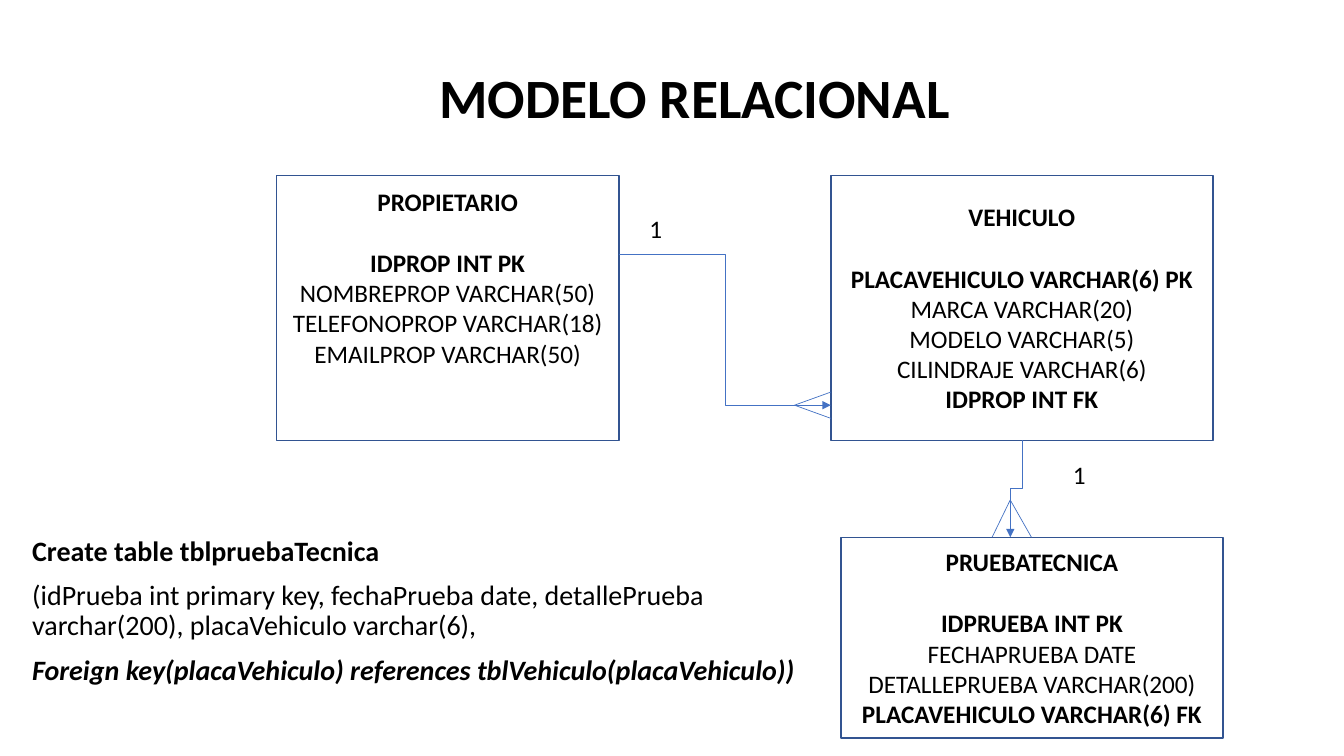
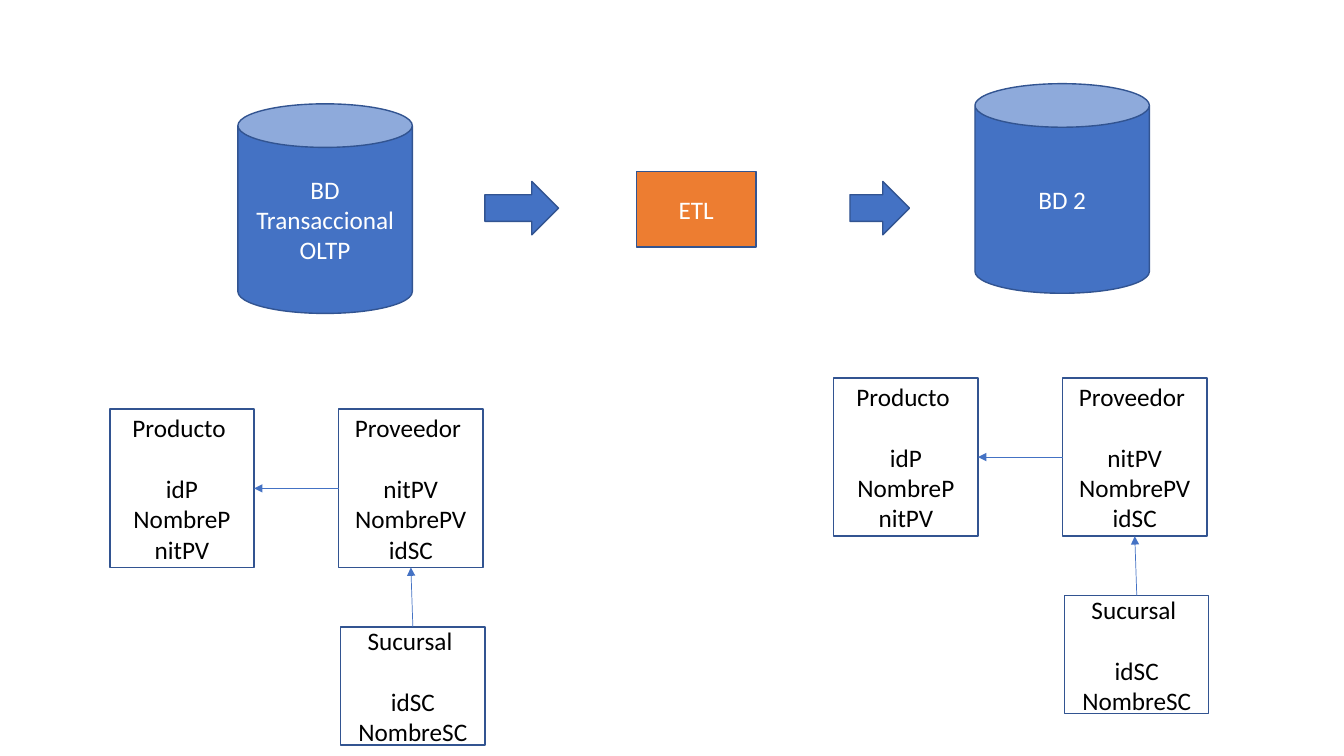
from pptx import Presentation
from pptx.dml.color import RGBColor
from pptx.enum.shapes import MSO_CONNECTOR as Link, MSO_SHAPE as Shape
from pptx.enum.text import MSO_ANCHOR as Anchor, PP_ALIGN as Align
from pptx.oxml.ns import qn
from pptx.oxml.xmlchemy import OxmlElement
from pptx.util import Pt

PX = 9144  # one px is a hundredth of an inch
COLOURS = {
    "white": "FFFFFF",
    "black": "000000",
    "blue": "4472C4",
    "navy": "325491",
    "orange": "ED7D31",
}
BODY = {"name": "Calibri", "size": Pt(18), "bold": False}
CENTRED = {"alignment": Align.CENTER}
HEADING_GAP = {"space_after": Pt(22)}
TOP, LEFT, BOTTOM, RIGHT = range(4)


# Shared helpers
def px(*lengths):
    return [round(length * PX) for length in lengths]


def colour(name):
    return RGBColor.from_string(COLOURS[name])


def set_all(target, values):
    for name, value in values.items():
        setattr(target, name, value)


def write(shape, lines, ink="black"):
    """Each line is (text, font values, paragraph values)."""
    frame = shape.text_frame
    frame.word_wrap = True
    for index, (text, font, layout) in enumerate(lines):
        para = frame.add_paragraph() if index else frame.paragraphs[0]
        set_all(para, layout)
        span = para.add_run()
        span.text = text
        set_all(span.font, BODY | font)
        span.font.color.rgb = colour(ink)


def add_block(page, box, kind=Shape.RECTANGLE, fill="white", line="navy"):
    shape = page.shapes.add_shape(kind, *px(*box))
    shape.shadow.inherit = False
    shape.fill.solid()
    shape.fill.fore_color.rgb = colour(fill)
    if line:
        shape.line.color.rgb = colour(line)
        shape.line.width = Pt(1)
    else:
        shape.line.fill.background()
    shape.text_frame.vertical_anchor = Anchor.MIDDLE
    return shape


def add_label(page, box, text, ink="white", **look):
    shape = add_block(page, box, **look)
    write(shape, [(text, {}, CENTRED)], ink)
    return shape


def add_entity(page, box, heading, rows, heading_bold=False):
    """Table box: a heading, a gap, then the fields with keys in bold."""
    shape = add_block(page, box)
    lines = [(heading, {"bold": heading_bold}, CENTRED | HEADING_GAP)]
    lines += [(row, {"bold": row.endswith((" PK", " FK"))}, CENTRED)
              for row in rows]
    write(shape, lines)
    return shape


def add_line(page, start, end, kind=Link.STRAIGHT, arrow=False):
    line = page.shapes.add_connector(kind, *px(*start, *end))
    line.line.color.rgb = colour("blue")
    line.line.width = Pt(0.5)
    if arrow:
        head = OxmlElement("a:tailEnd")
        head.set("type", "triangle")
        line.line._get_or_add_ln().append(head)
    line._element.spPr.append(OxmlElement("a:effectLst"))
    return line


def join(page, source, source_side, target, target_side):
    line = add_line(page, (0, 0), (1, 1), arrow=True)
    line.begin_connect(source, source_side)
    line.end_connect(target, target_side)


def add_crow_foot(page, apex, toes):
    for toe in toes:
        add_line(page, apex, toe)


# Slide 1: relational model
def add_title(page, box, text):
    title = page.shapes.add_textbox(*px(*box))
    title.text_frame.vertical_anchor = Anchor.MIDDLE
    write(title, [(text, {"size": Pt(39.6), "bold": True},
                   CENTRED | {"line_spacing": 0.9})])


def add_statement(page, box):
    statement = page.shapes.add_textbox(*px(*box))
    statement.text_frame.margin_top = 64 * PX
    rows = [
        ("Create table tblpruebaTecnica", {"bold": True}),
        ("(idPrueba int primary key, fechaPrueba date, detallePrueba "
         "varchar(200), placaVehiculo varchar(6),", {}),
        ("Foreign key(placaVehiculo) references "
         "tblVehiculo(placaVehiculo))", {"bold": True, "italic": True}),
    ]
    write(statement, [
        (text, {"size": Pt(20)} | font,
         {"line_spacing": 0.9, "space_before": Pt(10 if index else 0)})
        for index, (text, font) in enumerate(rows)])


def add_owner_link(page, left, top, width, height):
    """Elbow from the owner to a crow's foot on the vehicle's left side."""
    right, bottom = left + width, top + height
    add_line(page, (left, top), (right, bottom), Link.ELBOW, arrow=True)
    add_crow_foot(page, (right - 36, bottom),
                  [(right, bottom - 13), (right, bottom + 13)])
    add_label(page, (left + 3, top - 51, 67, 51), "1", "black", line=None)


def add_test_link(page, left, top, width, height):
    """Elbow turned downwards, from the vehicle to the technical test."""
    middle_x, middle_y = left + width / 2, top + height / 2
    elbow = add_line(page, (middle_x - height / 2, middle_y - width / 2),
                     (middle_x + height / 2, middle_y + width / 2),
                     Link.ELBOW, arrow=True)
    elbow._element.spPr.find(qn("a:xfrm")).set("rot", str(90 * 60000))
    add_label(page, (left + 35, top + 8, 67, 51), "1", "black", line=None)
    bottom = top + height
    add_crow_foot(page, (left, bottom - 37),
                  [(left + 21, bottom), (left - 18, bottom)])


def build_model(page):
    add_title(page, (341, 66, 696, 67), "MODELO RELACIONAL")
    add_entity(page, (824, 174, 379, 263), "VEHICULO", [
        "PLACAVEHICULO VARCHAR(6) PK", "MARCA VARCHAR(20)",
        "MODELO VARCHAR(5)", "CILINDRAJE VARCHAR(6)", "IDPROP INT FK"], True)
    owner = add_entity(page, (274, 174, 340, 263), "PROPIETARIO", [
        "IDPROP INT PK", "NOMBREPROP VARCHAR(50)",
        "TELEFONOPROP VARCHAR(18)", "EMAILPROP VARCHAR(50)"], True)
    owner.text_frame.margin_bottom = 66 * PX
    add_owner_link(page, 614, 252, 210, 150)
    add_statement(page, (22, 469, 781, 263))
    add_entity(page, (834, 533, 379, 199), "PRUEBATECNICA", [
        "IDPRUEBA INT PK", "FECHAPRUEBA DATE",
        "DETALLEPRUEBA VARCHAR(200)", "PLACAVEHICULO VARCHAR(6) FK"], True)
    add_test_link(page, 1002, 437, 12, 96)


# Slide 2: load from one database to the other
def add_schema(page, left, top):
    product = add_entity(page, (left, top, 143, 157), "Producto ",
                         ["idP", "NombreP", "nitPV"])
    supplier = add_entity(page, (left + 227, top, 143, 157), "Proveedor ",
                          ["nitPV", "NombrePV", "idSC"])
    branch = add_entity(page, (left + 229, top + 216, 143, 117), "Sucursal ",
                        ["idSC", "NombreSC"])
    join(page, supplier, LEFT, product, RIGHT)
    join(page, branch, TOP, supplier, BOTTOM)


def build_etl(page):
    for left, top, text in [(236, 103, "BD Transaccional OLTP"),
                            (967, 83, "BD 2")]:
        add_label(page, (left, top, 173, 208), text,
                  kind=Shape.CAN, fill="blue")
    add_label(page, (631, 170, 119, 75), "ETL", fill="orange")
    for left, width in [(481, 73), (843, 59)]:
        add_block(page, (left, 180, width, 53), Shape.RIGHT_ARROW, "blue")
    for left, top in [(109, 406), (827, 375)]:
        add_schema(page, left, top)


def main():
    deck = Presentation()
    deck.slide_width, deck.slide_height = px(1333, 750)
    for build in (build_model, build_etl):
        build(deck.slides.add_slide(deck.slide_layouts[6]))
    deck.save("out.pptx")


if __name__ == "__main__":
    main()
